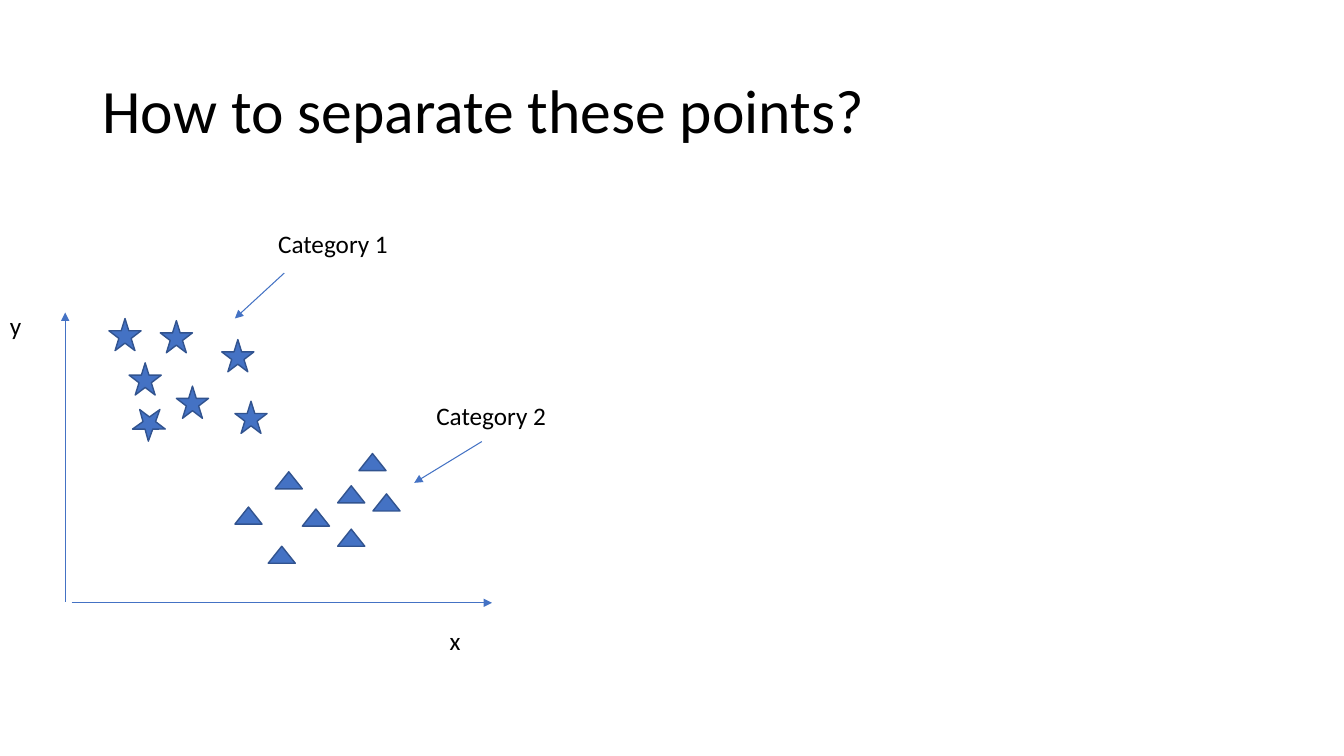
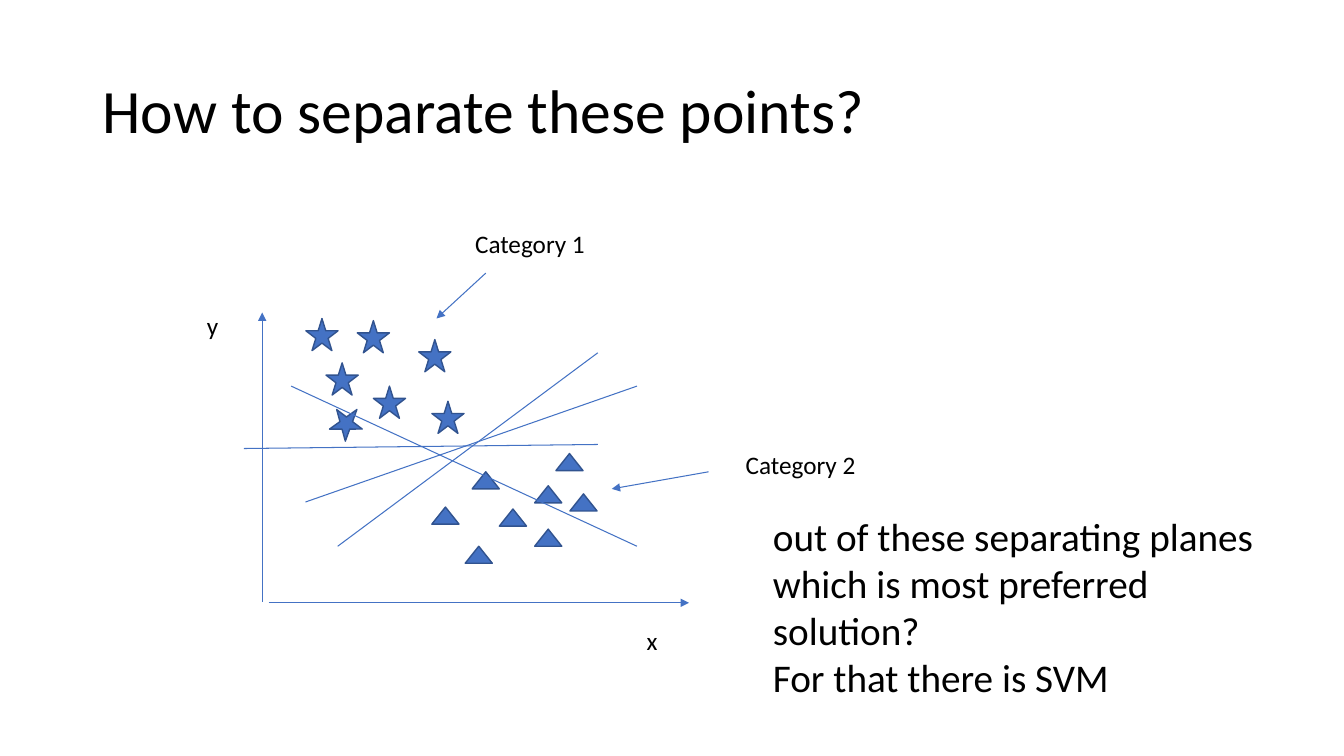
import pptx
import pptx.dml.color
import pptx.enum.shapes
import pptx.enum.text
import pptx.oxml
import pptx.oxml.ns
import pptx.util

Pt = pptx.util.Pt
Shape = pptx.enum.shapes.MSO_SHAPE
Anchor = pptx.enum.text.MSO_ANCHOR

STARS = [(77.8, 227.5), (92.2, 259.2), (114.5, 229), (126, 275.8),
         (158.4, 242.6), (167.8, 286.6)]
TILTED = (95.8, 290.2)
PEAKS = [(241.2, 378), (256.4, 324), (241.2, 347), (196.6, 337),
         (167.8, 362.2), (216, 363.6), (191.6, 390.2), (266.4, 352.8)]
PLANES = [((174.2, 320.4), (427, 317.5)), ((241.2, 390.2), (427, 252)),
          ((218.2, 358.6), (455, 275.8)), ((208, 275.8), (455, 390.2))]


def color(code):
    return pptx.dml.color.RGBColor.from_string(code)


def write(frame, text, size=18, ink="000000", font="Calibri", space=None):
    for i, line in enumerate(text.split("\n")):
        para = frame.paragraphs[0] if i == 0 else frame.add_paragraph()
        para.line_spacing = space
        run = para.add_run()
        run.text = line
        run.font.size = Pt(size)
        run.font.name = font
        run.font.color.rgb = color(ink)


class Deck:
    blue = "4472C4"
    edge = "31538F"

    def __init__(self):
        self.file = pptx.Presentation()
        self.file.slide_width = Pt(960)
        self.file.slide_height = Pt(540)

    def page(self, title):
        self.slide = self.file.slides.add_slide(self.file.slide_layouts[6])
        self.text(title, 66.2, 28.8, 828, 104.4, anchor=Anchor.MIDDLE,
                  size=44, space=0.9)

    def text(self, text, x, y, w, h, anchor=Anchor.TOP, inset=3.6, **style):
        box = self.slide.shapes.add_textbox(Pt(x), Pt(y), Pt(w), Pt(h))
        frame = box.text_frame
        frame.word_wrap = True
        frame.vertical_anchor = anchor
        frame.margin_top = frame.margin_bottom = Pt(inset)
        write(frame, text, **style)

    def label(self, text, x, y, w=122.4):
        self.text(text, x, y, w, 28.8)

    def mark(self, kind, x, y, w, h, turn=0):
        shape = self.slide.shapes.add_shape(kind, Pt(x), Pt(y), Pt(w), Pt(h))
        shape.shadow.inherit = False
        shape.rotation = turn
        shape.fill.solid()
        shape.fill.fore_color.rgb = color(self.blue)
        shape.line.color.rgb = color(self.edge)
        shape.line.width = Pt(1)

    def star(self, x, y, turn=0):
        self.mark(Shape.STAR_5_POINT, x, y, 23, 23, turn)

    def peak(self, x, y):
        self.mark(Shape.ISOSCELES_TRIANGLE, x, y, 19.4, 12.2)

    def line(self, start, end, arrow=False):
        link = self.slide.shapes.add_connector(
            pptx.enum.shapes.MSO_CONNECTOR.STRAIGHT,
            *(Pt(v) for v in (*start, *end)))
        link.line.color.rgb = color(self.blue)
        link.line.width = Pt(0.75)
        if arrow:
            tail = pptx.oxml.parse_xml(
                f'<a:tailEnd {pptx.oxml.ns.nsdecls("a")} type="triangle"/>')
            link.line._get_or_add_ln().append(tail)
        link._element.spPr.append(pptx.oxml.parse_xml(
            f'<a:effectLst {pptx.oxml.ns.nsdecls("a")}/>'))

    def plot(self, dx=0):
        self.line((dx + 51.2, 430.6), (dx + 351.4, 430.6), arrow=True)
        self.line((dx + 46.6, 429.8), (dx + 46.6, 223.2), arrow=True)
        for x, y in PEAKS:
            self.peak(dx + x, y)
        for x, y in STARS:
            self.star(dx + x, y)
        self.star(dx + TILTED[0], TILTED[1], turn=37.3)
        self.label("x", dx + 314, 442.8, 25.2)
        self.label("y", dx, 218.2, 25.2)
        self.label("Category 1", dx + 191.6, 159.8)


def main():
    deck = Deck()
    title = "How to separate these points?"

    deck.page(title)
    deck.plot()
    deck.label("Category 2", 304.6, 282.2)
    deck.line((203, 195.1), (167.8, 227.5), arrow=True)
    deck.line((344.2, 315.4), (295.9, 344.9), arrow=True)

    deck.page(title)
    deck.plot(dx=140.7)
    deck.label("Category 2", 525.6, 317.5)
    deck.line((347, 195.1), (311.8, 227.5), arrow=True)
    deck.line((506.2, 337), (437, 349.2), arrow=True)
    for start, end in PLANES:
        deck.line(start, end)
    deck.text("out of these separating planes which is most preferred "
              "solution?\nFor that there is SVM",
              545, 358.6, 368.6, 174.2, inset=7.2, size=28)

    deck.file.save("out.pptx")


if __name__ == "__main__":
    main()
